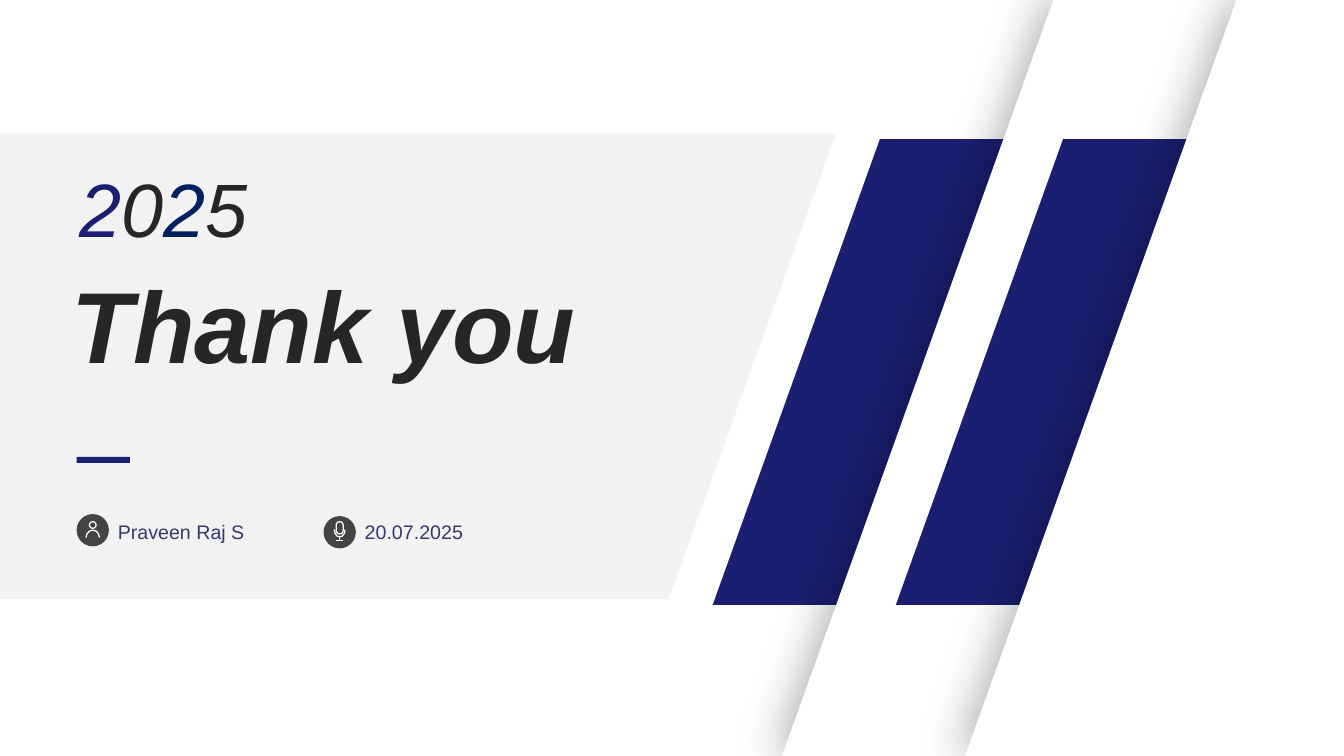
import pptx
import pptx.dml.color
import pptx.enum.shapes
import pptx.enum.text
import pptx.oxml
import pptx.oxml.ns
import pptx.util

RGBColor = pptx.dml.color.RGBColor
Shape = pptx.enum.shapes.MSO_SHAPE
AutoSize = pptx.enum.text.MSO_AUTO_SIZE

NAVY = RGBColor(0x1A, 0x1F, 0x71)
DEEP_BLUE = RGBColor(0x00, 0x20, 0x60)
INK = RGBColor(0x26, 0x26, 0x26)
LABEL_BLUE = RGBColor(0x36, 0x39, 0x6E)
BADGE_GRAY = RGBColor(0x44, 0x44, 0x44)
PANEL_GRAY = RGBColor(0xF2, 0xF2, 0xF2)
WHITE = RGBColor(0xFF, 0xFF, 0xFF)

COLUMNS, ROWS = 160, 90
SLIDE_WIDTH, SLIDE_HEIGHT = pptx.util.Inches(13.33), pptx.util.Inches(7.5)
HALF_TURN = 108  # 180 degrees as an arc adjustment


class ClosingSlide:
    """Draws on a grid of 160 columns by 90 rows."""

    font_name = "Arial"
    icon_line = pptx.util.Pt(0.9)

    def __init__(self, presentation):
        self.slide = presentation.slides.add_slide(presentation.slide_layouts[5])
        self.shapes = self.slide.shapes

    def x(self, columns):
        return round(SLIDE_WIDTH * columns / COLUMNS)

    def y(self, rows):
        return round(SLIDE_HEIGHT * rows / ROWS)

    def box(self, left, top, width, height):
        return self.x(left), self.y(top), self.x(width), self.y(height)

    def paint(self, shape, color):
        shape.shadow.inherit = False
        shape.fill.solid()
        shape.fill.fore_color.rgb = color
        shape.line.fill.background()

    def preset(self, kind, place, color):
        shape = self.shapes.add_shape(kind, *self.box(*place))
        self.paint(shape, color)
        return shape

    def slanted_panel(self, left, top, width, height, color):
        """A manual-input shape turned a quarter, so its slant is at the right."""
        frame = (left + (width - height) / 2, top + (height - width) / 2, height, width)
        shape = self.preset(Shape.FLOWCHART_MANUAL_INPUT, frame, color)
        shape.rotation = 90
        shape.element.spPr.find(pptx.oxml.ns.qn("a:xfrm")).set("flipH", "1")

    def slanted_band(self, start, top, bottom, color, shadow=False):
        """An area right of a slanted edge that meets row 0 at column start."""
        slope = 0.359
        corners = [(start - slope * top, top), (COLUMNS, top),
                   (COLUMNS, bottom), (start - slope * bottom, bottom)]
        points = [(self.x(column), self.y(row)) for column, row in corners]
        builder = self.shapes.build_freeform(*points[0])
        builder.add_line_segments(points[1:], close=True)
        shape = builder.convert_to_shape()
        self.paint(shape, color)
        if shadow:
            effects = shape.element.spPr.find(pptx.oxml.ns.qn("a:effectLst"))
            effects.append(pptx.oxml.parse_xml(
                f'<a:outerShdw {pptx.oxml.ns.nsdecls("a")} blurRad="{pptx.util.Pt(33)}" '
                f'dist="{pptx.util.Pt(5)}" dir="10800000" algn="r" rotWithShape="0">'
                '<a:srgbClr val="000000"><a:alpha val="30000"/></a:srgbClr></a:outerShdw>'))

    def outline(self, kind, place, adjustments=()):
        shape = self.shapes.add_shape(kind, *self.box(*place))
        shape.shadow.inherit = False
        shape.fill.background()
        shape.line.color.rgb = WHITE
        shape.line.width = self.icon_line
        for index, value in enumerate(adjustments):
            shape.adjustments[index] = value

    def line(self, left, top, right, bottom):
        connector = self.shapes.add_connector(
            pptx.enum.shapes.MSO_CONNECTOR.STRAIGHT,
            self.x(left), self.y(top), self.x(right), self.y(bottom))
        connector.line.color.rgb = WHITE
        connector.line.width = self.icon_line
        connector.element.spPr.append(pptx.oxml.parse_xml(
            f'<a:effectLst {pptx.oxml.ns.nsdecls("a")}/>'))

    def set_runs(self, shape, runs, size, wrap=True, **font_format):
        frame = shape.text_frame
        frame_format = {"word_wrap": wrap, "auto_size": AutoSize.SHAPE_TO_FIT_TEXT,
                        "vertical_anchor": pptx.enum.text.MSO_ANCHOR.TOP}
        for name, value in frame_format.items():
            setattr(frame, name, value)
        paragraph = frame.paragraphs[0]
        paragraph.alignment = pptx.enum.text.PP_ALIGN.LEFT
        font_format.update(name=self.font_name, size=pptx.util.Pt(size))
        for text, color in runs:
            run = paragraph.add_run()
            run.text = text
            run.font.color.rgb = color
            for name, value in font_format.items():
                setattr(run.font, name, value)

    def text(self, place, runs, size, **text_format):
        self.set_runs(self.shapes.add_textbox(*self.box(*place)), runs, size, **text_format)

    def title(self, place, text, color, size, **text_format):
        shape = self.shapes.title
        for name, value in zip(("left", "top", "width", "height"), self.box(*place)):
            setattr(shape, name, value)
        self.set_runs(shape, [(text, color)], size, **text_format)
        # Bring the title in front of the panel
        shape.element.getparent().append(shape.element)

    def badge(self, left, top):
        """Draws the disc and returns its centre."""
        size = 3.84
        self.preset(Shape.OVAL, (left, top, size, size), BADGE_GRAY)
        return left + size / 2, top + size / 2

    def person_badge(self, left, top):
        x, y = self.badge(left, top)
        self.outline(Shape.OVAL, (x - 0.4, y - 1.02, 0.8, 0.8))
        self.outline(Shape.ARC, (x - 0.8, y, 1.6, 1.76), (HALF_TURN, 0))

    def microphone_badge(self, left, top):
        x, y = self.badge(left, top)
        self.outline(Shape.ROUNDED_RECTANGLE, (x - 0.42, y - 1.26, 0.84, 1.46), (0.5,))
        self.outline(Shape.ARC, (x - 0.64, y - 1.19, 1.28, 1.76), (0, HALF_TURN))
        self.line(x, y + 0.57, x, y + 1)
        self.line(x - 0.45, y + 1, x + 0.45, y + 1)


def main():
    presentation = pptx.Presentation()
    presentation.slide_width, presentation.slide_height = SLIDE_WIDTH, SLIDE_HEIGHT
    closing = ClosingSlide(presentation)

    # Gray panel and two navy stripes, each cut by a white shadowed area
    closing.slanted_panel(0, 15.9, 99.5, 55.44, PANEL_GRAY)
    for offset in (0, 21.8):
        closing.slanted_band(110.7 + offset, 16.56, 72, NAVY)
        closing.slanted_band(125.4 + offset, 0, ROWS, WHITE, shadow=True)

    # Year, title and accent dash
    closing.text((8.28, 18.72, 27.84, 12.12),
                 [("2", NAVY), ("0", INK), ("2", DEEP_BLUE), ("5", INK)], 54, italic=True)
    closing.title((7.32, 30.72, 74.88, 15.72), "Thank you", INK, 72, bold=True, italic=True)
    closing.preset(Shape.RECTANGLE, (9.12, 54.4, 6.36, 0.72), NAVY)

    # Presenter and date
    closing.person_badge(9.12, 61.2)
    closing.microphone_badge(38.52, 61.44)
    for left, width, label in ((12.84, 17.64, "Praveen Raj S"), (42.24, 14.16, "20.07.2025")):
        closing.text((left, 61.32, width, 4.08), [(label, LABEL_BLUE)], 14, wrap=False)

    presentation.save("out.pptx")


if __name__ == "__main__":
    main()
